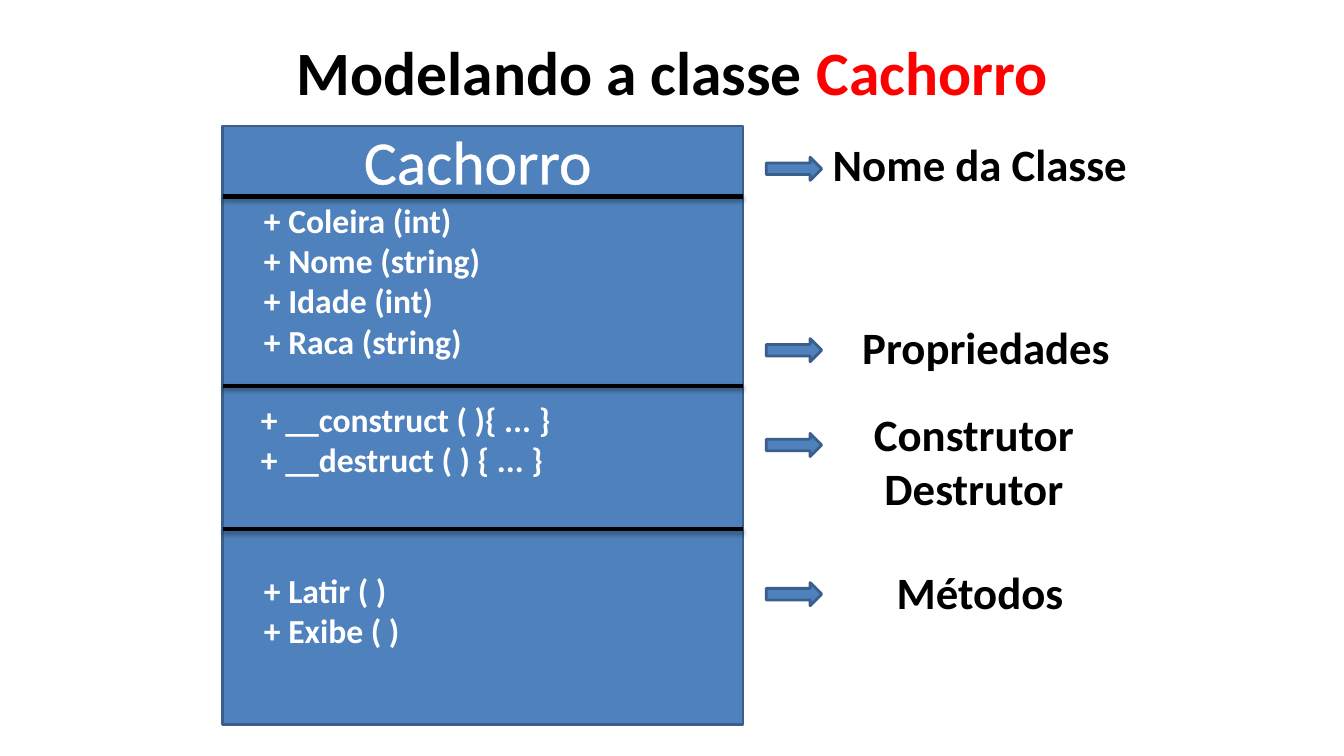
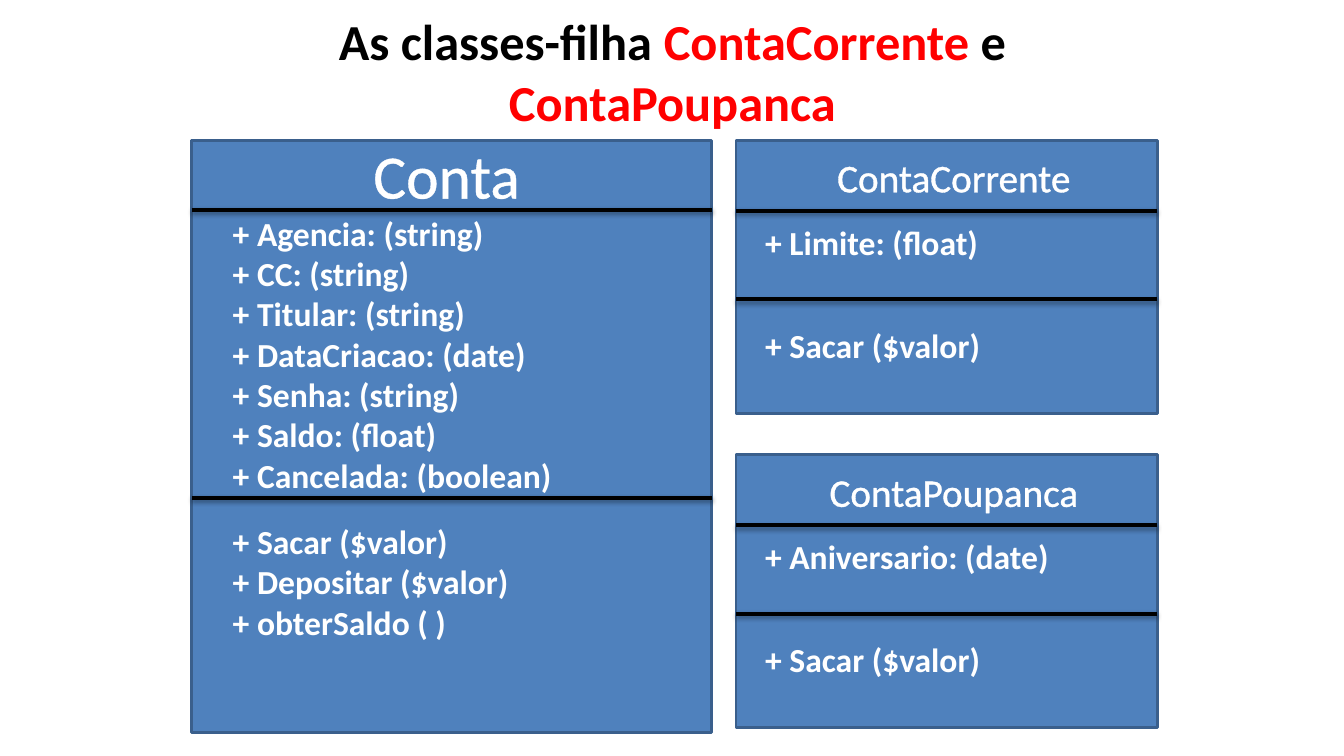
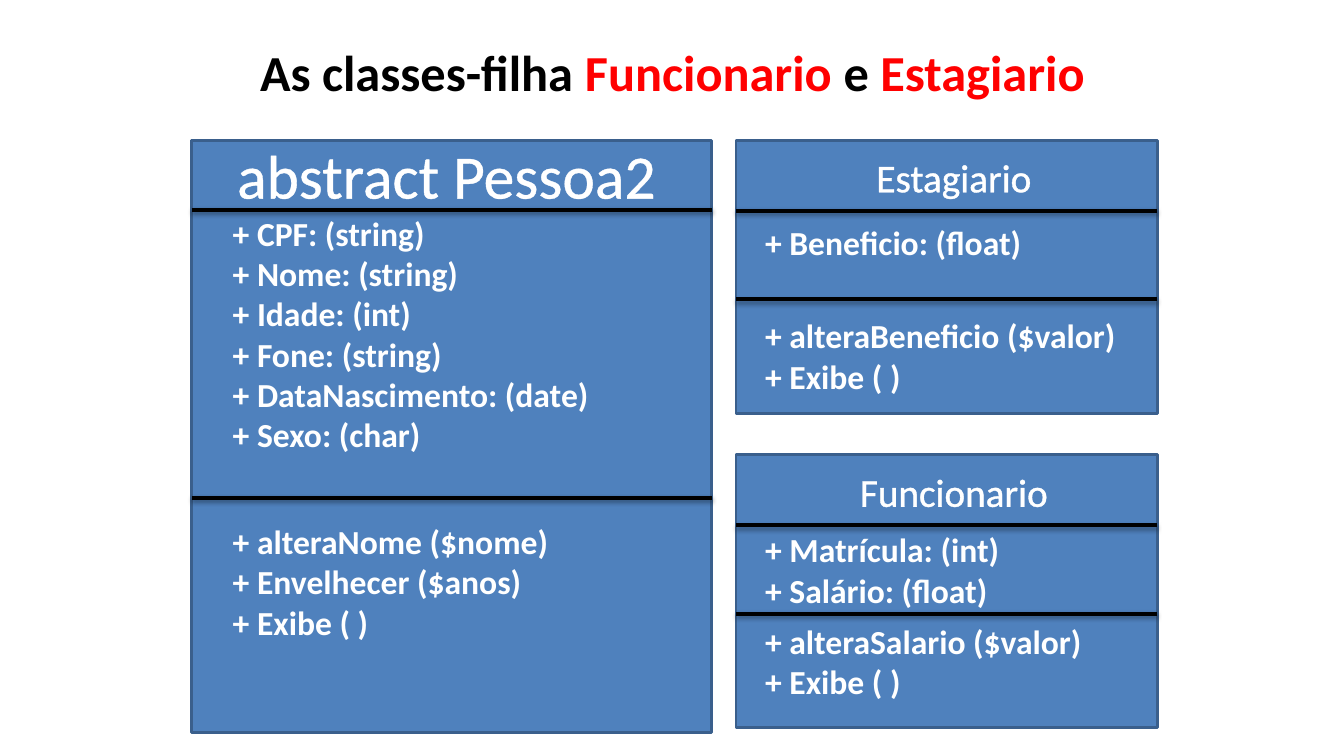
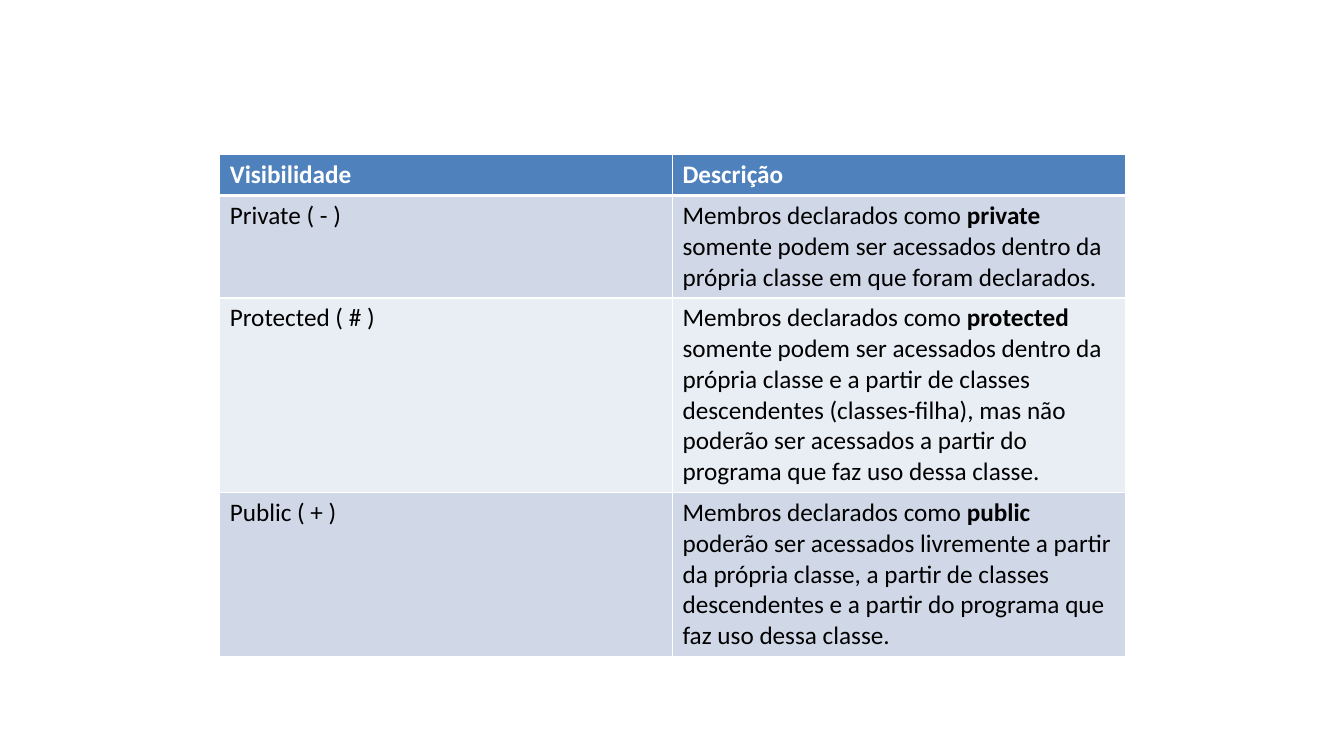
from dataclasses import dataclass

from lxml import etree
from pptx import Presentation
from pptx.dml.color import RGBColor
from pptx.enum.shapes import MSO_CONNECTOR as Connector, MSO_SHAPE as Shape
from pptx.enum.text import MSO_ANCHOR as Anchor, PP_ALIGN as Align
from pptx.oxml import parse_xml
from pptx.oxml.ns import nsdecls, qn
from pptx.util import Inches, Pt

# Shared look
FONT = "Calibri"
BLACK = RGBColor(0x00, 0x00, 0x00)
WHITE = RGBColor(0xFF, 0xFF, 0xFF)
RED = RGBColor(0xFF, 0x00, 0x00)
BLUE = RGBColor(0x4F, 0x81, 0xBD)
BLUE_EDGE = RGBColor(0x3A, 0x5F, 0x8C)
BAND_DARK = RGBColor(0xD0, 0xD8, 0xE8)
BAND_LIGHT = RGBColor(0xE9, 0xED, 0xF4)


@dataclass
class ClassStyle:
    """Measures shared by class boxes of one kind, in inches."""
    width: float
    name_size: int
    name_top: float
    name_shift: float
    indent: float
    text_width: float


PARENT = ClassStyle(5.16, 44, -0.08, -0.05, 0.31, 4.46)
CHILD = ClassStyle(4.18, 28, 0.08, 0.07, 0.19, 3.83)


# Text
def add_span(para, text, size, color, bold=False):
    span = para.add_run()
    span.text = text
    font = span.font
    font.name, font.size, font.bold = FONT, Pt(size), bold
    font.color.rgb = color
    return span


def add_box(slide, left, top, width, height, lines, size, color,
            bold=True, align=Align.LEFT, anchor=Anchor.TOP):
    """Add a text box; each line is a list of (text, color) or a string."""
    box = slide.shapes.add_textbox(Inches(left), Inches(top),
                                   Inches(width), Inches(height))
    frame = box.text_frame
    frame.word_wrap = True
    frame.vertical_anchor = anchor
    for index, line in enumerate(lines):
        para = frame.add_paragraph() if index else frame.paragraphs[0]
        para.alignment = align
        for text, tint in [(line, color)] if isinstance(line, str) else line:
            add_span(para, text, size, tint, bold)
    return box


def add_title(slide, size, *parts):
    add_box(slide, 2.17, 0.08, 9, 1.25, [parts], size, BLACK,
            align=Align.CENTER, anchor=Anchor.MIDDLE)


def outline_text(box):
    for span in box.text_frame.paragraphs[0].runs:
        span.font._element.insert(0, parse_xml(
            f'<a:ln {nsdecls("a")} w="18415"><a:solidFill>'
            f'<a:srgbClr val="{WHITE}"/></a:solidFill></a:ln>'))


# Shapes
def add_blue_shape(slide, kind, left, top, width, height):
    shape = slide.shapes.add_shape(kind, Inches(left), Inches(top),
                                   Inches(width), Inches(height))
    shape.shadow.inherit = False
    shape.fill.solid()
    shape.fill.fore_color.rgb = BLUE
    shape.line.color.rgb = BLUE_EDGE
    shape.line.width = Pt(2)


def add_divider(slide, left, top, width):
    line = slide.shapes.add_connector(Connector.STRAIGHT, Inches(left), Inches(top),
                                      Inches(left + width), Inches(top))
    line.line.color.rgb = BLACK
    line.line.width = Pt(3)
    line._element.spPr.append(parse_xml(
        f'<a:effectLst {nsdecls("a")}><a:outerShdw blurRad="{Pt(3.1)}" '
        f'dist="{Pt(1.8)}" dir="5400000" rotWithShape="0"><a:srgbClr val="{BLACK}">'
        '<a:alpha val="35000"/></a:srgbClr></a:outerShdw></a:effectLst>'))


def add_members(slide, left, top, width, lines):
    add_box(slide, left, top, width, 0.1 + 0.4 * len(lines), lines, 24, WHITE)


def add_class(slide, style, left, top, height, name, dividers, sections):
    """Draw a class; dividers and section tops are measured from its top."""
    add_blue_shape(slide, Shape.RECTANGLE, left, top, style.width, height)
    for offset in dividers:
        add_divider(slide, left, top + offset, style.width)
    outline_text(add_box(slide, left + style.name_shift, top + style.name_top,
                         style.width, style.name_size * 0.02, [name],
                         style.name_size, WHITE, bold=False, align=Align.CENTER))
    for offset, lines in sections:
        add_members(slide, left + style.indent, top + offset, style.text_width, lines)


def add_family(slide, parent, children):
    """Draw a parent class with its child classes stacked on the right."""
    name, properties, methods = parent
    add_class(slide, PARENT, 1.9, 1.39, 5.88, name, (0.69, 3.55),
              [(0.67, properties), (3.73, methods)])
    for index, (name, *sections) in enumerate(children):
        add_class(slide, CHILD, 7.3, 1.39 + 3.12 * index, 2.71, name,
                  (0.7, 1.58), sections)


def add_label(slide, arrow_top, center, top, *lines):
    width = 3.15
    add_blue_shape(slide, Shape.RIGHT_ARROW, 7.6, arrow_top, 0.55, 0.23)
    add_box(slide, center - width / 2, top, width, 0.1 + 0.54 * len(lines),
            lines, 32, BLACK, align=Align.CENTER)


# Table
def set_borders(cell, bottom):
    properties = cell._tc.get_or_add_tcPr()
    widths = {"lnL": 1, "lnR": 1, "lnT": 1, "lnB": bottom}
    for index, (side, width) in enumerate(widths.items()):
        edge = etree.Element(qn(f"a:{side}"), w=str(Pt(width)))
        fill = etree.SubElement(edge, qn("a:solidFill"))
        etree.SubElement(fill, qn("a:srgbClr"), val=str(WHITE))
        properties.insert(index, edge)


def add_visibility_table(slide, header, rows, heights):
    table = slide.shapes.add_table(len(rows) + 1, 2, Inches(2.18), Inches(1.53),
                                   Inches(8.98), Inches(sum(heights))).table
    for column in table.columns:
        column.width = Inches(4.49)
    header_spans = [[(text, True)] for text in header]
    body_spans = [
        [[(label, False)],
         [("Membros declarados como ", False), (keyword, True), (rest, False)]]
        for label, keyword, rest in rows]
    for r, cells in enumerate([header_spans, *body_spans]):
        table.rows[r].height = Inches(heights[r])
        for c, spans in enumerate(cells):
            cell = table.cell(r, c)
            cell.fill.solid()
            cell.fill.fore_color.rgb = (
                BLUE if r == 0 else BAND_DARK if r % 2 else BAND_LIGHT)
            set_borders(cell, bottom=1 if r else 3)
            for text, bold in spans:
                add_span(cell.text_frame.paragraphs[0], text, 18,
                         BLACK if r else WHITE, bold)


# Slides
def build_dog(slide):
    add_title(slide, 44, ("Modelando a classe ", BLACK), ("Cachorro", RED))
    add_class(slide, PARENT, 2.21, 1.25, 5.94, "Cachorro", (0.7, 2.58, 4), [
        (0.68, ["+ Coleira (int)", "+ Nome (string)", "+ Idade (int)",
                "+ Raca (string)"]),
        (4.35, ["+ Latir ( )", "+ Exibe ( )"])])
    add_members(slide, 2.49, 3.91, 4.45,
                ["+ __construct ( ){ ... }", "+ __destruct ( ) { ... }"])
    add_label(slide, 1.56, 9.72, 1.31, "Nome da Classe")
    add_label(slide, 3.36, 9.78, 3.12, "Propriedades")
    add_label(slide, 4.3, 9.66, 3.99, "Construtor", "Destrutor")
    add_label(slide, 5.78, 9.72, 5.55, "Métodos")


def build_accounts(slide):
    add_title(slide, 36, ("As classes-filha ", BLACK), ("ContaCorrente ", RED),
              ("e ", BLACK), ("ContaPoupanca", RED))
    add_family(
        slide,
        ("Conta",
         ["+ Agencia: (string)", "+ CC: (string)", "+ Titular: (string)",
          "+ DataCriacao: (date)", "+ Senha: (string)", "+ Saldo: (float)",
          "+ Cancelada: (boolean)"],
         ["+ Sacar ($valor)", "+ Depositar ($valor)", "+ obterSaldo ( )"]),
        [("ContaCorrente", (0.76, ["+ Limite: (float)"]),
          (1.78, ["+ Sacar ($valor)"])),
         ("ContaPoupanca", (0.76, ["+ Aniversario: (date)"]),
          (1.78, ["+ Sacar ($valor)"]))])


def build_people(slide):
    add_title(slide, 36, ("As classes-filha ", BLACK), ("Funcionario ", RED),
              ("e ", BLACK), ("Estagiario", RED))
    add_family(
        slide,
        ("abstract Pessoa2",
         ["+ CPF: (string)", "+ Nome: (string)", "+ Idade: (int)",
          "+ Fone: (string)", "+ DataNascimento: (date)", "+ Sexo: (char)"],
         ["+ alteraNome ($nome)", "+ Envelhecer ($anos)", "+ Exibe ( )"]),
        [("Estagiario", (0.76, ["+ Beneficio: (float)"]),
          (1.69, ["+ alteraBeneficio ($valor)", "+ Exibe ( )"])),
         ("Funcionario", (0.69, ["+ Matrícula: (int)", "+ Salário: (float)"]),
          (1.6, ["+ alteraSalario ($valor)", "+ Exibe ( )"]))])


def build_visibility(slide):
    add_visibility_table(slide, ("Visibilidade", "Descrição"), [
        ("Private ( - )", "private",
         " somente podem ser acessados dentro da própria classe em que foram "
         "declarados."),
        ("Protected ( # )", "protected",
         " somente podem ser acessados dentro da própria classe e a partir de "
         "classes descendentes (classes-filha), mas não poderão ser acessados "
         "a partir do programa que faz uso dessa classe."),
        ("Public ( + )", "public",
         " poderão ser acessados livremente a partir da própria classe, a partir "
         "de classes descendentes e a partir do programa que faz uso dessa "
         "classe."),
    ], heights=(0.41, 1.01, 1.93, 1.62))


def main():
    deck = Presentation()
    deck.slide_width, deck.slide_height = Inches(13.33), Inches(7.5)
    blank = deck.slide_layouts[6]
    for build in (build_dog, build_accounts, build_people, build_visibility):
        build(deck.slides.add_slide(blank))
    deck.save("out.pptx")


main()
